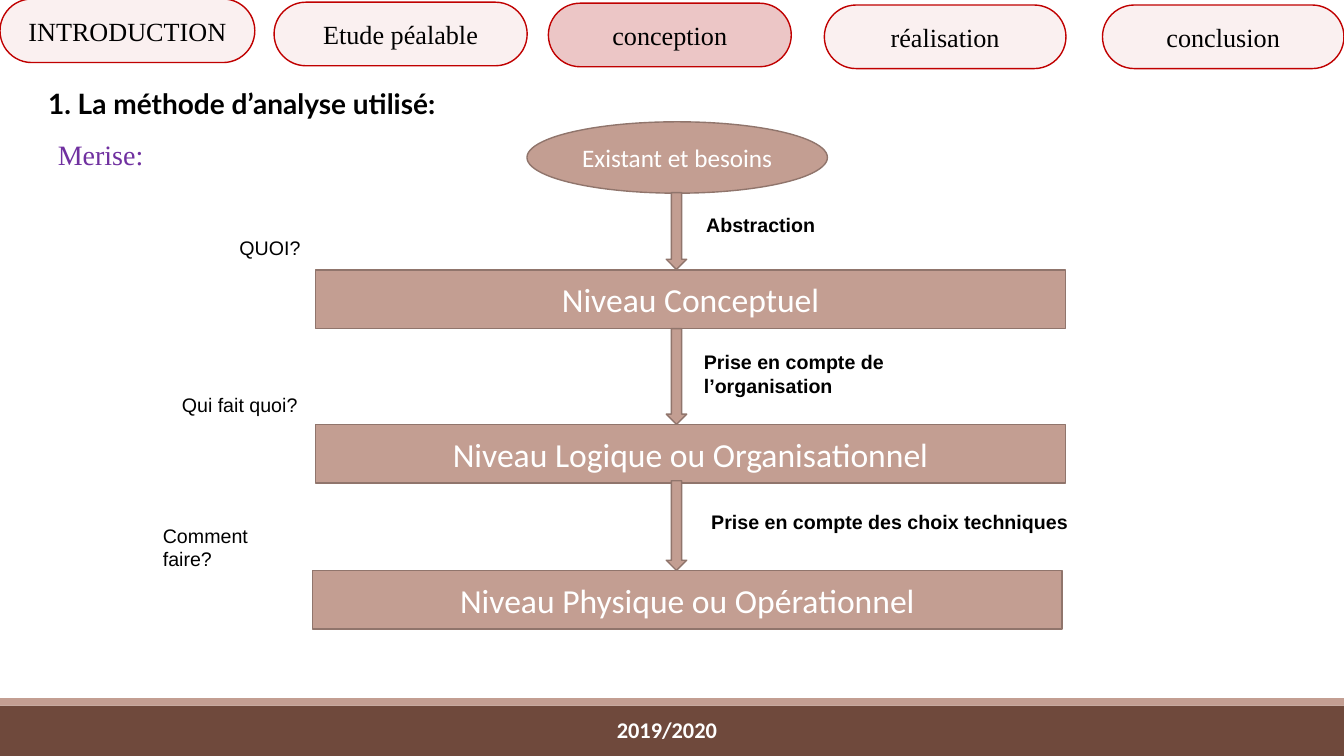
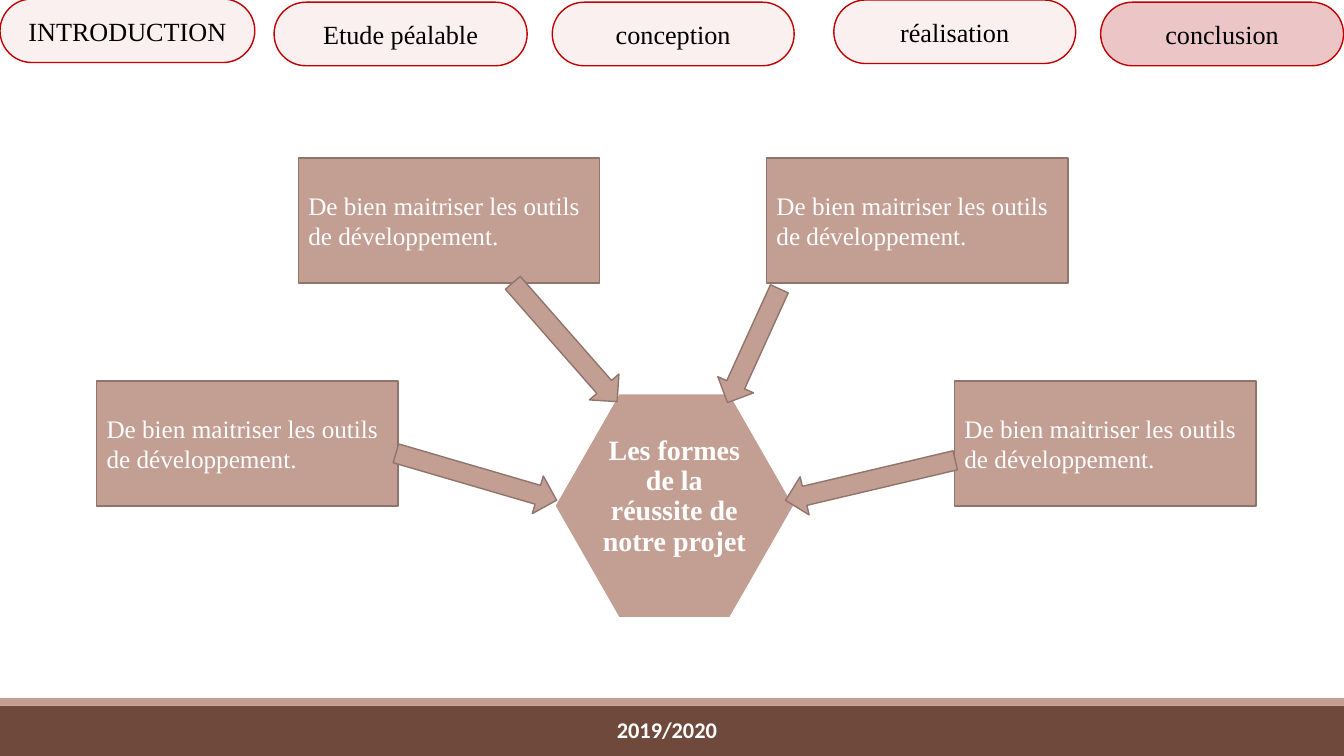
from math import atan2, degrees, hypot

from pptx import Presentation
from pptx.dml.color import RGBColor
from pptx.enum.shapes import MSO_SHAPE as SHAPE
from pptx.enum.text import MSO_ANCHOR as ANCHOR, MSO_AUTO_SIZE as AUTO, PP_ALIGN as ALIGN
from pptx.util import Pt

WIDTH, HEIGHT = 960, 540
BLACK, WHITE, PURPLE = "000000", "FFFFFF", "7030A0"
BROWN, ROSE, ROSE_EDGE = "6F493C", "C39E92", "90756C"
TAB_FILL, TAB_ACTIVE, TAB_EDGE = "FAF0F0", "ECC6C6", "C00000"
SERIF, SANS, BODY, HEAD = "Times New Roman", "Arial", "Calibri", "Lato"
INSETS = (7.2, 3.6)
LABEL_INSETS = (9.6, 4.8)

FOOTER = "2019/2020"
TABS = ["INTRODUCTION", "Etude péalable", "conception", "réalisation", "conclusion"]
TAB_HEIGHT = 45.4
FIRST_TABS = [(0, -0.7, 182), (195.8, 1.6, 180.8)]
METHOD_TABS = FIRST_TABS + [(391.7, 2.3, 173.5), (588.8, 3.6, 172.6), (787.5, 3.6, 172.5)]
SUCCESS_TABS = FIRST_TABS + [(394.5, 1.6, 172.8), (595.6, 0, 172.8), (786.2, 1.6, 173.5)]

TITLE = "1. La méthode d’analyse utilisé:"
SUBTITLE = "Merise:"
START = "Existant et besoins"
LEVELS = [
    ("Niveau Conceptuel", 225.5, 192.8),
    ("Niveau Logique ou Organisationnel", 225.5, 303.2),
    ("Niveau Physique ou Opérationnel", 223.2, 407.6),
]
LEVEL_SIZE = (535.5, 41.8)
AXIS = 483.2
STEP_ENDS = [(137.6, 192.5), (234.7, 303.1), (343.4, 407.5)]
STEPS = [
    ("Abstraction", 494.8, 146.3, 110),
    ("Prise en compte de l’organisation", 493.2, 252.9, 200),
    ("Prise en compte des choix techniques", 498.4, 358.6, 281),
]
QUESTIONS = [
    ("QUOI?", 161.4, 162.9, 70),
    ("Qui fait quoi?", 120.3, 275, 105),
    ("Comment faire?", 106.7, 376.7, 110),
]
LABEL_HEIGHT = 28

GOAL = "Les formes de la réussite de notre projet"
FACTOR = "De bien maitriser les outils de développement."
FACTOR_SIZE = (215.3, 89.3)
FACTOR_SPOTS = [(547.5, 113), (213.1, 113), (681.8, 272.2), (69, 272.2)]
FACTOR_ARROWS = [
    ((556.7, 206.3), (519.7, 287.6)),
    ((682.3, 328.8), (561.1, 357.4)),
    ((366.3, 202), (440.8, 286.9)),
    ((282.8, 323.8), (397.6, 357.3)),
]


def rgb(color):
    return RGBColor.from_string(color)


def write(sp, text, font, size, color, bold=False, align=ALIGN.CENTER, insets=INSETS):
    tf = sp.text_frame
    tf.text = text
    tf.word_wrap = True
    tf.auto_size = AUTO.NONE
    tf.vertical_anchor = ANCHOR.MIDDLE
    tf.margin_left = tf.margin_right = Pt(insets[0])
    tf.margin_top = tf.margin_bottom = Pt(insets[1])
    p = tf.paragraphs[0]
    p.alignment = align
    f = p.runs[0].font
    f.name, f.size, f.bold = font, Pt(size), bold
    f.color.rgb = rgb(color)


def place(sp, x, y, w, h):
    sp.left, sp.top, sp.width, sp.height = Pt(x), Pt(y), Pt(w), Pt(h)


def add_box(s, kind, x, y, w, h, fill=ROSE, line=ROSE_EDGE, weight=1):
    sp = s.shapes.add_shape(kind, Pt(x), Pt(y), Pt(w), Pt(h))
    sp.shadow.inherit = False
    sp.fill.solid()
    sp.fill.fore_color.rgb = rgb(fill)
    if line:
        sp.line.color.rgb = rgb(line)
        sp.line.width = Pt(weight)
    else:
        sp.line.fill.background()
    return sp


def add_text(s, x, y, w, h, *args, **style):
    sp = s.shapes.add_textbox(Pt(x), Pt(y), Pt(w), Pt(h))
    write(sp, *args, **style)


def add_arrow(s, tail, head, width):
    dx, dy = head[0] - tail[0], head[1] - tail[1]
    length = hypot(dx, dy)
    x = (tail[0] + head[0] - width) / 2
    y = (tail[1] + head[1] - length) / 2
    sp = add_box(s, SHAPE.DOWN_ARROW, x, y, width, length)
    sp.rotation = degrees(atan2(-dx, dy))


def add_frame(s, tabs, active):
    add_box(s, SHAPE.RECTANGLE, 0, 504, WIDTH, 36, BROWN, None)
    add_box(s, SHAPE.RECTANGLE, 0, 498.7, WIDTH, 5.3, ROSE, None)
    add_text(s, 428.4, 506.4, 96, 28.8, FOOTER, BODY, 16, WHITE, bold=True)
    for name, (x, y, w) in zip(TABS, tabs):
        fill = TAB_ACTIVE if name == active else TAB_FILL
        sp = add_box(s, SHAPE.ROUNDED_RECTANGLE, x, y, w, TAB_HEIGHT, fill, TAB_EDGE)
        sp.adjustments[0] = 0.5
        write(sp, name, SERIF, 18.7, BLACK)


def build_method(prs):
    s = prs.slides.add_slide(prs.slide_layouts[5])
    add_frame(s, METHOD_TABS, "conception")
    place(s.shapes.title, 34.3, 61.5, 340, 24)
    write(s.shapes.title, TITLE, HEAD, 20, BLACK, bold=True, align=ALIGN.LEFT, insets=(0, 0))
    add_text(s, 41.3, 98.5, 200, 23, SUBTITLE, SERIF, 20, PURPLE, align=ALIGN.LEFT, insets=(0, 0))
    write(add_box(s, SHAPE.OVAL, 376.4, 87, 214.6, 51), START, BODY, 18, WHITE)
    for name, x, y in LEVELS:
        write(add_box(s, SHAPE.RECTANGLE, x, y, *LEVEL_SIZE), name, BODY, 24, WHITE)
    for top, bottom in STEP_ENDS:
        add_arrow(s, (AXIS, top), (AXIS, bottom), 14.6)
    for labels, bold in ((STEPS, True), (QUESTIONS, False)):
        for text, x, y, w in labels:
            add_text(s, x, y, w, LABEL_HEIGHT, text, SANS, 14, BLACK,
                     bold=bold, align=ALIGN.LEFT, insets=LABEL_INSETS)


def build_success(prs):
    s = prs.slides.add_slide(prs.slide_layouts[6])
    add_frame(s, SUCCESS_TABS, "conclusion")
    sp = add_box(s, SHAPE.HEXAGON, 396, 281, 171.4, 160.6, line=WHITE, weight=1.5)
    sp.adjustments[0], sp.adjustments[1] = 0.286, 1.155
    write(sp, GOAL, SERIF, 20, WHITE, bold=True, insets=(1, 0))
    sp.text_frame.margin_bottom = Pt(13)
    sp.text_frame.paragraphs[0].line_spacing = 0.9
    for x, y in FACTOR_SPOTS:
        sp = add_box(s, SHAPE.RECTANGLE, x, y, *FACTOR_SIZE)
        write(sp, FACTOR, SERIF, 18, WHITE, align=ALIGN.LEFT)
    for tail, head in FACTOR_ARROWS:
        add_arrow(s, tail, head, 28)


def main():
    """Build the method and success slides and save the deck."""
    prs = Presentation()
    prs.slide_width, prs.slide_height = Pt(WIDTH), Pt(HEIGHT)
    build_method(prs)
    build_success(prs)
    prs.save("out.pptx")


if __name__ == "__main__":
    main()
